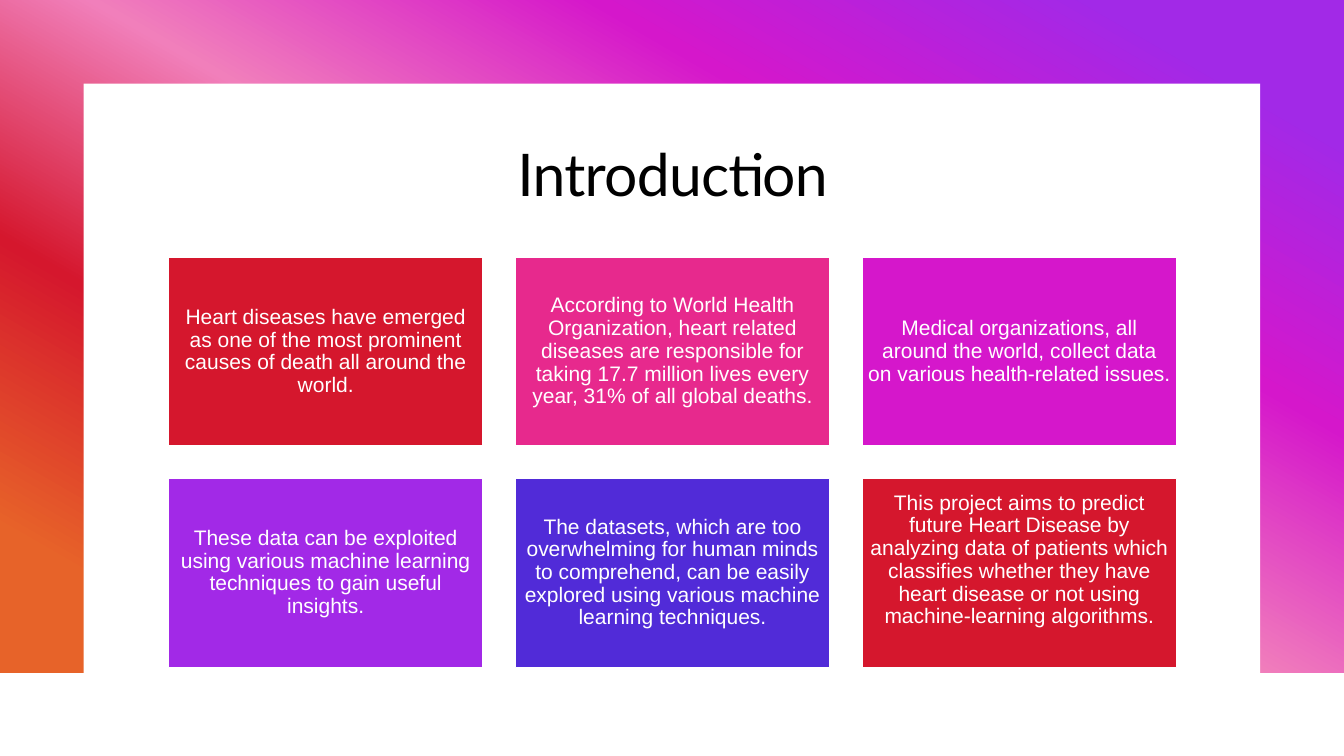
import copy
from dataclasses import dataclass

import pptx
import pptx.dml.color
import pptx.enum.shapes
import pptx.enum.text
import pptx.util

Inches = pptx.util.Inches
Pt = pptx.util.Pt


@dataclass(frozen=True)
class Theme:
    white: str = "FFFFFF"
    black: str = "000000"
    red: str = "D5172D"
    rose: str = "E7298D"
    pink: str = "F17FBB"
    plum: str = "D517CB"
    purple: str = "A229E7"
    blue: str = "512BD8"
    orange: str = "E76329"
    head: str = "Lato"
    body: str = "Arial"
    big: int = 42
    small: int = 15


THEME = Theme()

CARDS = [
    (THEME.red, "Heart diseases have emerged as one of the most prominent "
                "causes of death all around the world."),
    (THEME.rose, "According to World Health Organization, heart related diseases "
                 "are responsible for taking 17.7 million lives every year, "
                 "31% of all global deaths."),
    (THEME.plum, "Medical organizations, all around the world, collect data "
                 "on various health-related issues."),
    (THEME.purple, "These data can be exploited using various machine learning "
                   "techniques to gain useful insights."),
    (THEME.blue, "The datasets, which are too overwhelming for human minds to "
                 "comprehend, can be easily explored using various machine "
                 "learning techniques."),
    (THEME.red, "This project aims to predict future Heart Disease by analyzing "
                "data of patients which classifies whether they have heart "
                "disease or not using machine-learning algorithms."),
]


def rgb(code):
    return pptx.dml.color.RGBColor.from_string(code)


def panel(slide, box, color):
    """Plain rectangle without outline or shadow."""
    kind = pptx.enum.shapes.MSO_SHAPE.RECTANGLE
    shape = slide.shapes.add_shape(kind, *map(Inches, box))
    shape.shadow.inherit = False
    shape.fill.solid()
    shape.fill.fore_color.rgb = rgb(color)
    shape.line.fill.background()
    return shape


def write(shape, text, font, size, color, space, inset):
    """Centred paragraph of one run."""
    frame = shape.text_frame
    frame.word_wrap = True
    frame.vertical_anchor = pptx.enum.text.MSO_ANCHOR.MIDDLE
    frame.margin_left = frame.margin_right = Inches(inset)
    frame.margin_top = frame.margin_bottom = Inches(0.06)
    para = frame.paragraphs[0]
    para.alignment = pptx.enum.text.PP_ALIGN.CENTER
    para.line_spacing = space
    run = para.add_run()
    run.text = text
    run.font.name = font
    run.font.size = Pt(size)
    run.font.color.rgb = rgb(color)
    return para, run


def backdrop(slide, box):
    """Diagonal gradient with a white sheet set into it."""
    left, top, width, height = box
    band = panel(slide, box, THEME.white)
    band.fill.gradient()
    band.fill.gradient_angle = 240
    stops = band.fill.gradient_stops
    colors = (THEME.purple, THEME.plum, THEME.pink, THEME.red, THEME.orange)
    # The default gradient has two stops; extend it to one per colour
    parent = band.element.spPr.find(".//" + pptx.oxml.ns.qn("a:gsLst"))
    while len(parent) < len(colors):
        parent.append(copy.deepcopy(parent[0]))
    for i, (stop, color) in enumerate(zip(stops, colors)):
        stop.position = 0.1 + 0.2 * i
        stop.color.rgb = rgb(color)
    edge = 0.83
    panel(slide, (left + edge, top + edge + 0.01, width - 2 * edge, height - edge),
          THEME.white)


def title(slide, box, text):
    shape = slide.shapes.add_textbox(*map(Inches, box))
    run = write(shape, text, THEME.head, THEME.big, THEME.black, 0.95, 0.1)[1]
    run.font._element.set("spc", "-50")


def cards(slide, box, cols=3, gap=0.32):
    """Grid of coloured cards, filled row by row."""
    left, top, width, height = box
    rows = len(CARDS) // cols
    wide = (width - gap * (cols - 1)) / cols
    high = (height - gap * (rows - 1)) / rows
    for i, (color, text) in enumerate(CARDS):
        row, col = divmod(i, cols)
        spot = (left + col * (wide + gap), top + row * (high + gap), wide, high)
        card = panel(slide, spot, color)
        card.line.color.rgb = rgb(THEME.white)
        card.line.width = Pt(1)
        para, run = write(card, text, THEME.body, THEME.small, THEME.white, 0.9, 0.06)
        para.space_after = Pt(5.25)
    # The last card's text ends with a line break
    para.add_line_break()
    para.font.size = Pt(THEME.small)


def main():
    deck = pptx.Presentation()
    deck.slide_width = Inches(13.33)
    deck.slide_height = Inches(7.5)
    slide = deck.slides.add_slide(deck.slide_layouts[6])
    backdrop(slide, (0, -0.01, 13.33, 6.68))
    title(slide, (1.67, 1.24, 10, 1.01), "Introduction")
    cards(slide, (1.67, 2.55, 10, 4.07))
    deck.save("out.pptx")


if __name__ == "__main__":
    main()
